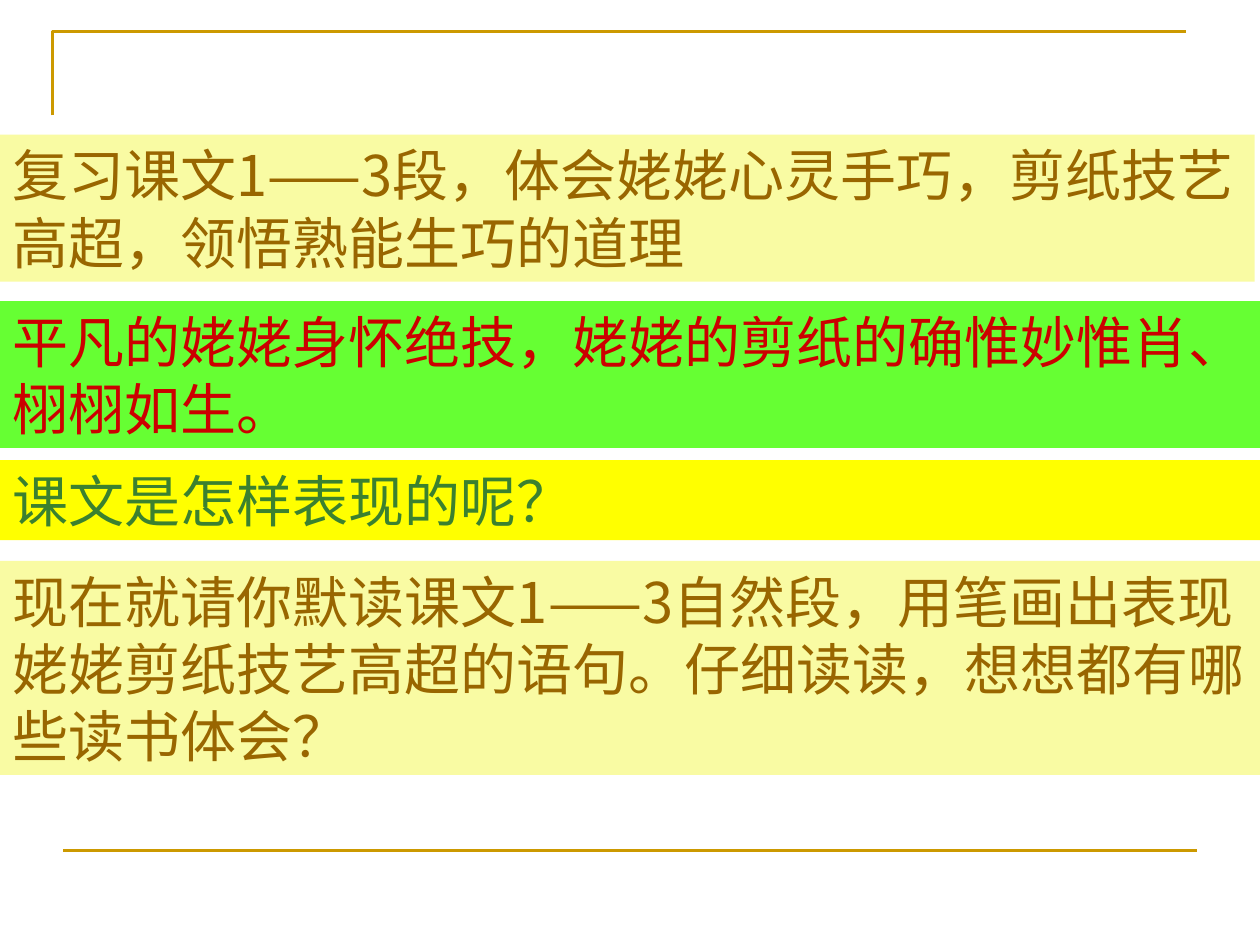
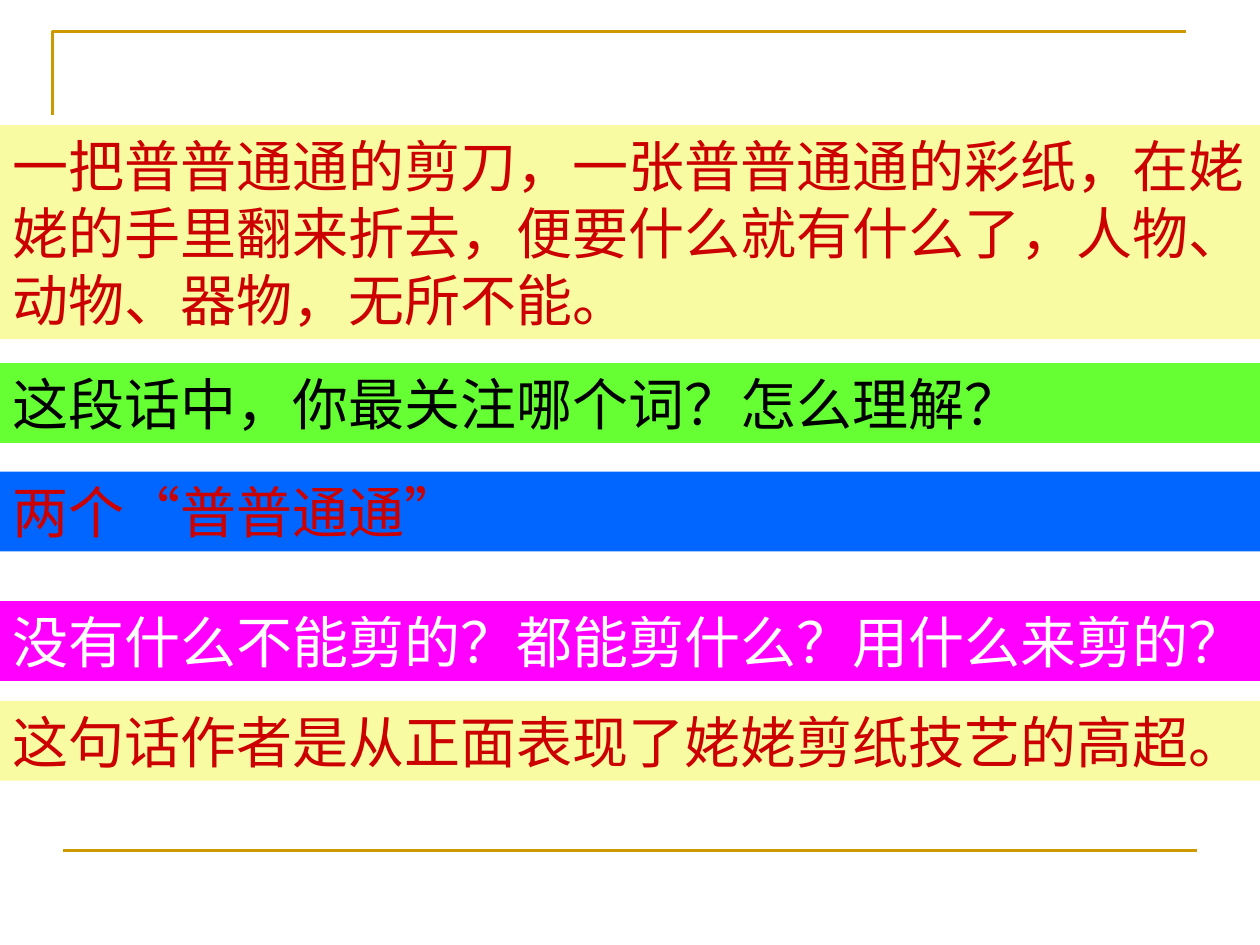
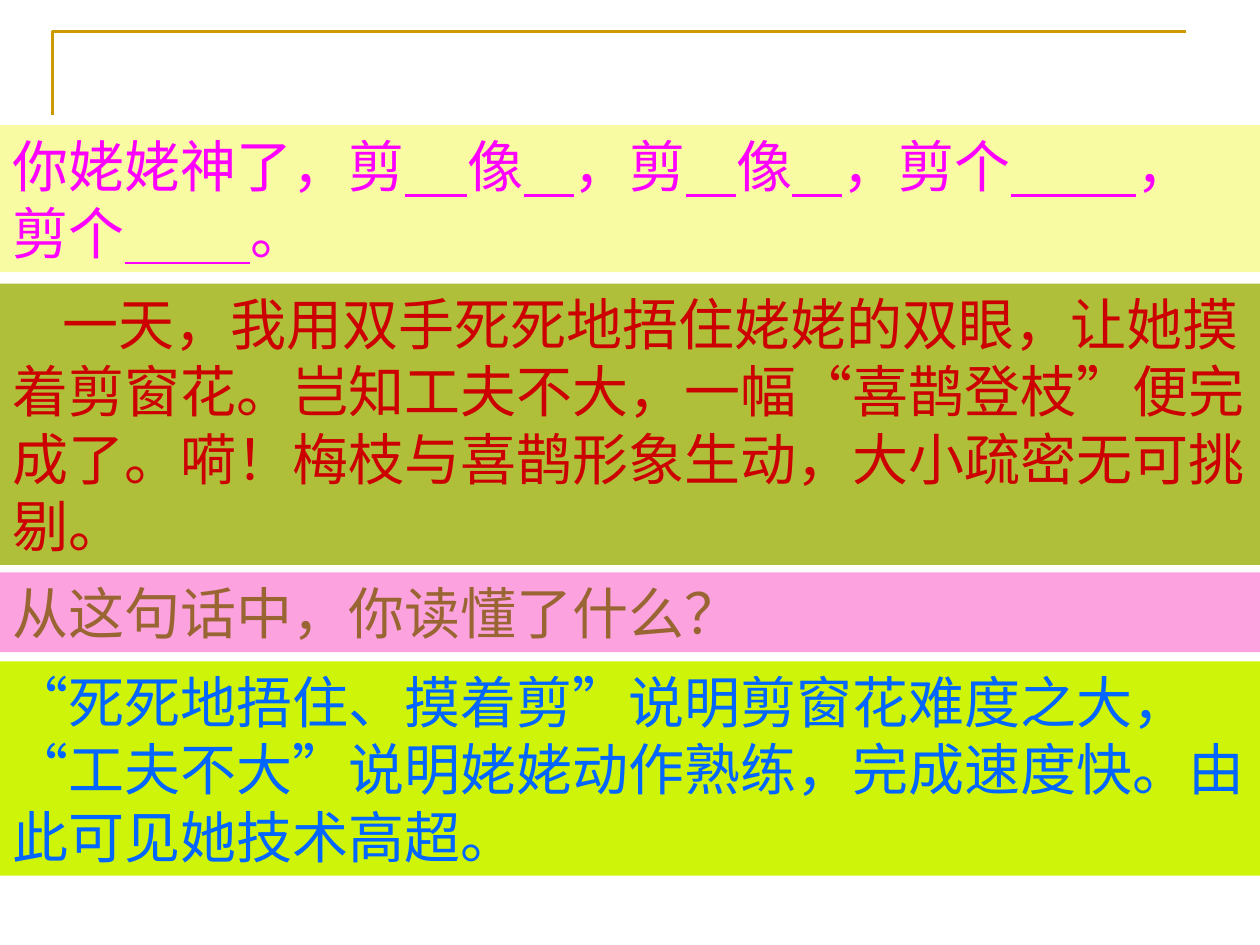
from lxml import etree
from pptx import Presentation
from pptx.dml.color import RGBColor
from pptx.enum.shapes import MSO_CONNECTOR, MSO_SHAPE
from pptx.enum.text import MSO_ANCHOR, MSO_AUTO_SIZE, PP_ALIGN
from pptx.oxml.ns import qn
from pptx.util import Pt

RECT = MSO_SHAPE.RECTANGLE
STRAIGHT = MSO_CONNECTOR.STRAIGHT
TOP = MSO_ANCHOR.TOP
LEFT = PP_ALIGN.LEFT
GROW = MSO_AUTO_SIZE.SHAPE_TO_FIT_TEXT

GOLD = RGBColor(0xCC, 0x99, 0x00)
CREAM = RGBColor(0xF9, 0xFB, 0xA3)
GREEN = RGBColor(0x66, 0xFF, 0x33)
YELLOW = RGBColor(0xFF, 0xFF, 0x00)
MAGENTA = RGBColor(0xFF, 0x00, 0xFF)
BLUE = RGBColor(0x00, 0x66, 0xFF)
OLIVE = RGBColor(0xAF, 0xBF, 0x39)
PINK = RGBColor(0xFC, 0xA2, 0xDE)
LIME = RGBColor(0xCE, 0xF5, 0x09)
BROWN = RGBColor(0x99, 0x66, 0x00)
TAN = RGBColor(0x99, 0x66, 0x33)
RED = RGBColor(0xCC, 0x00, 0x00)
LEAF = RGBColor(0x3B, 0x81, 0x2F)
BLACK = RGBColor(0, 0, 0)
WHITE = RGBColor(0xFF, 0xFF, 0xFF)

FONT = "Noto Sans CJK SC"
SIZE = 32
LINE_HEIGHT = 38.4
INSET_X, INSET_Y = 7.2, 3.6
SLIDE_W, SLIDE_H = 720, 540
NBSP = " "


def add_corner(slide):
    builder = slide.shapes.build_freeform(Pt(30), Pt(66))
    builder.add_line_segments([(Pt(30), Pt(18)), (Pt(678), Pt(18))], close=False)
    sp = builder.convert_to_shape()
    sp.shadow.inherit = False
    sp.fill.background()
    sp.line.color.rgb = GOLD
    sp.line.width = Pt(1.5)


def add_footer_line(slide):
    line = slide.shapes.add_connector(STRAIGHT, Pt(36), Pt(486), Pt(684), Pt(486))
    line.line.color.rgb = GOLD
    line.line.width = Pt(1.5)
    etree.SubElement(line._element.spPr, qn("a:effectLst"))


def new_slide(prs, footer=True):
    slide = prs.slides.add_slide(prs.slide_layouts[6])
    add_corner(slide)
    if footer:
        add_footer_line(slide)
    return slide


def add_band(slide, top, lines, fill, color, content, width=SLIDE_W, indent=0):
    """Add a filled text band; a number in content is an underlined gap of that many spaces."""
    height = lines * LINE_HEIGHT + 2 * INSET_Y
    sp = slide.shapes.add_shape(RECT, 0, Pt(top), Pt(width), Pt(height))
    sp.shadow.inherit = False
    sp.fill.solid()
    sp.fill.fore_color.rgb = fill
    sp.line.fill.background()

    tf = sp.text_frame
    tf.word_wrap = True
    tf.auto_size = GROW
    tf.vertical_anchor = TOP
    tf.margin_left = tf.margin_right = Pt(INSET_X)
    tf.margin_top = tf.margin_bottom = Pt(INSET_Y)

    p = tf.paragraphs[0]
    p.alignment = LEFT
    p.font.name = FONT
    p.font.size = Pt(SIZE)
    p.font.color.rgb = color
    pPr = p._p.get_or_add_pPr()
    etree.SubElement(pPr.get_or_add_defRPr(), qn("a:ea"), typeface=FONT)
    if indent:
        pPr.set("indent", str(Pt(indent)))

    for part in content:
        r = p.add_run()
        if isinstance(part, int):
            r.text = NBSP * (part - 1) + " "
            r.font.underline = True
        else:
            r.text = part


def add_review_slide(prs):
    slide = new_slide(prs)
    add_band(slide, 77, 2, CREAM, BROWN,
             ["复习课文1——3段，体会姥姥心灵手巧，剪纸技艺高超，领悟熟能生巧的道理"],
             width=717)
    add_band(slide, 172, 2, GREEN, RED,
             ["平凡的姥姥身怀绝技，姥姥的剪纸的确惟妙惟肖、栩栩如生。"])
    add_band(slide, 263, 1, YELLOW, LEAF, ["课文是怎样表现的呢？"])
    add_band(slide, 320.5, 3, CREAM, BROWN,
             ["现在就请你默读课文1——3自然段，用笔画出表现姥姥剪纸技艺高超的语句。"
              "仔细读读，想想都有哪些读书体会？"])


def add_ordinary_slide(prs):
    slide = new_slide(prs)
    add_band(slide, 71.5, 3, CREAM, RED,
             ["一把普普通通的剪刀，一张普普通通的彩纸，在姥姥的手里翻来折去，"
              "便要什么就有什么了，人物、动物、器物，无所不能。"])
    add_band(slide, 207.5, 1, GREEN, BLACK, ["这段话中，你最关注哪个词？怎么理解？"])
    add_band(slide, 269.5, 1, BLUE, RED, ["两个“普普通通”"])
    add_band(slide, 343.5, 1, MAGENTA, WHITE,
             ["没有什么不能剪的？都能剪什么？用什么来剪的？"])
    add_band(slide, 400.5, 1, CREAM, RED,
             ["这句话作者是从正面表现了姥姥剪纸技艺的高超。"])


def add_skill_slide(prs):
    slide = new_slide(prs, footer=False)
    add_band(slide, 71.5, 2, CREAM, MAGENTA,
             ["你姥姥神了，剪", 5, "像", 4, "，剪", 4, "像", 4,
              "，剪个", 10, "，剪个", 10, "。"])
    add_band(slide, 162, 4, OLIVE, RED,
             ["一天，我用双手死死地捂住姥姥的双眼，让她摸着剪窗花。岂知工夫不大，"
              "一幅“喜鹊登枝”便完成了。嗬！梅枝与喜鹊形象生动，大小疏密无可挑剔。"],
             indent=28.5)
    add_band(slide, 327, 1, PINK, TAN, ["从这句话中，你读懂了什么？"])
    add_band(slide, 378, 3, LIME, BLUE,
             ["“死死地捂住、摸着剪”说明剪窗花难度之大，“工夫不大”说明姥姥动作熟练，"
              "完成速度快。由此可见她技术高超。"])


def main():
    prs = Presentation()
    prs.slide_width, prs.slide_height = Pt(SLIDE_W), Pt(SLIDE_H)
    add_review_slide(prs)
    add_ordinary_slide(prs)
    add_skill_slide(prs)
    prs.save("out.pptx")


if __name__ == "__main__":
    main()
